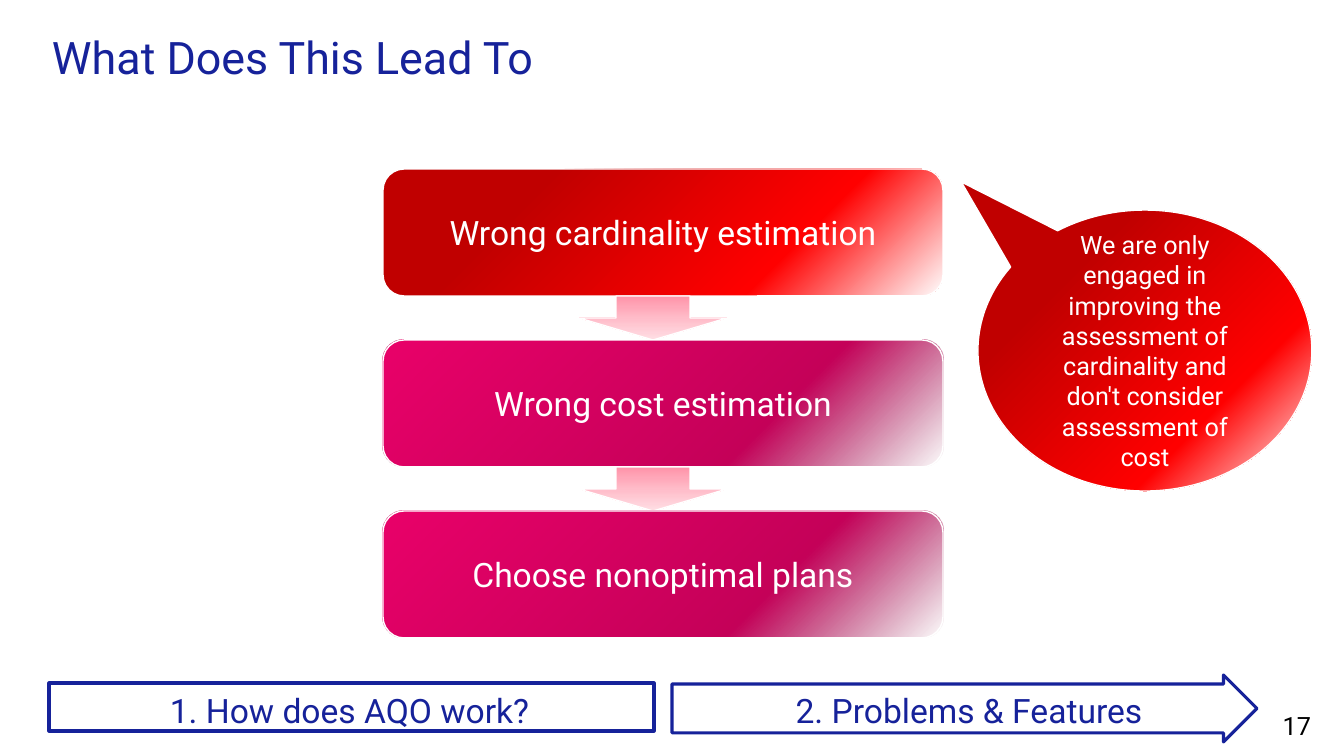
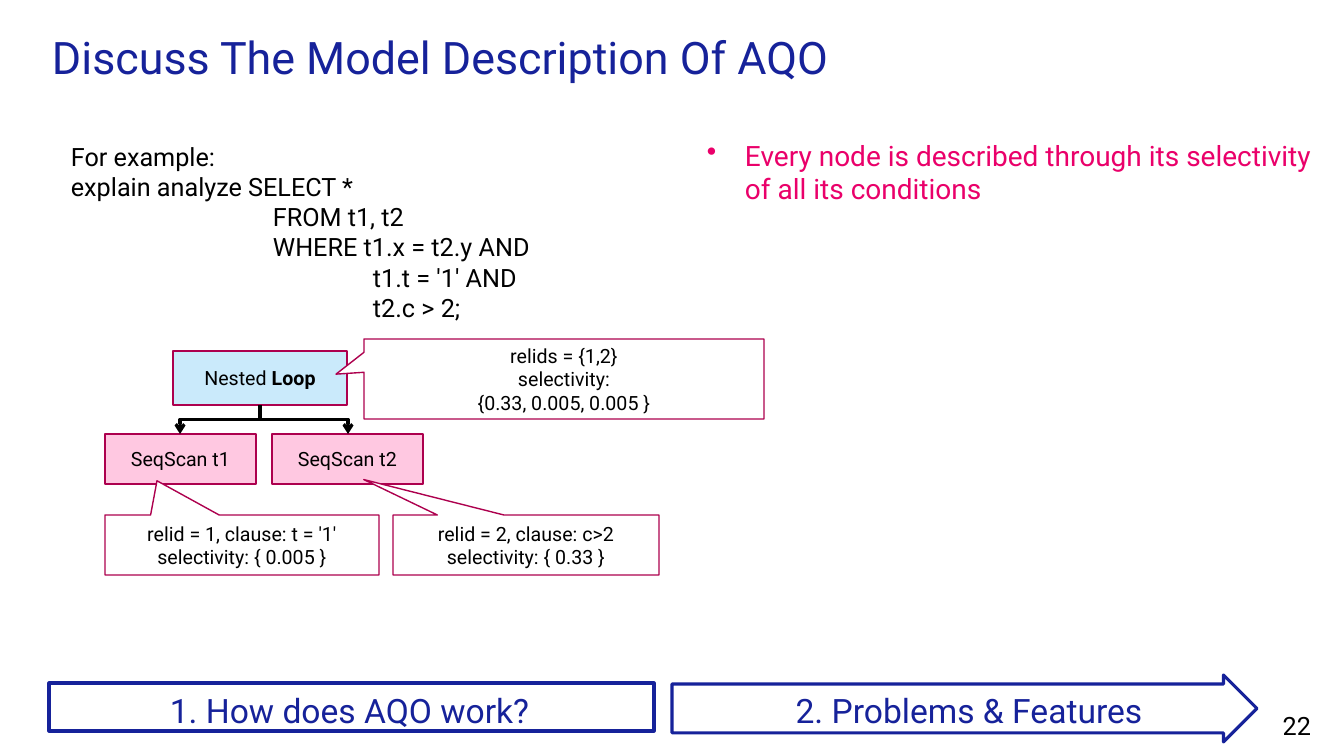
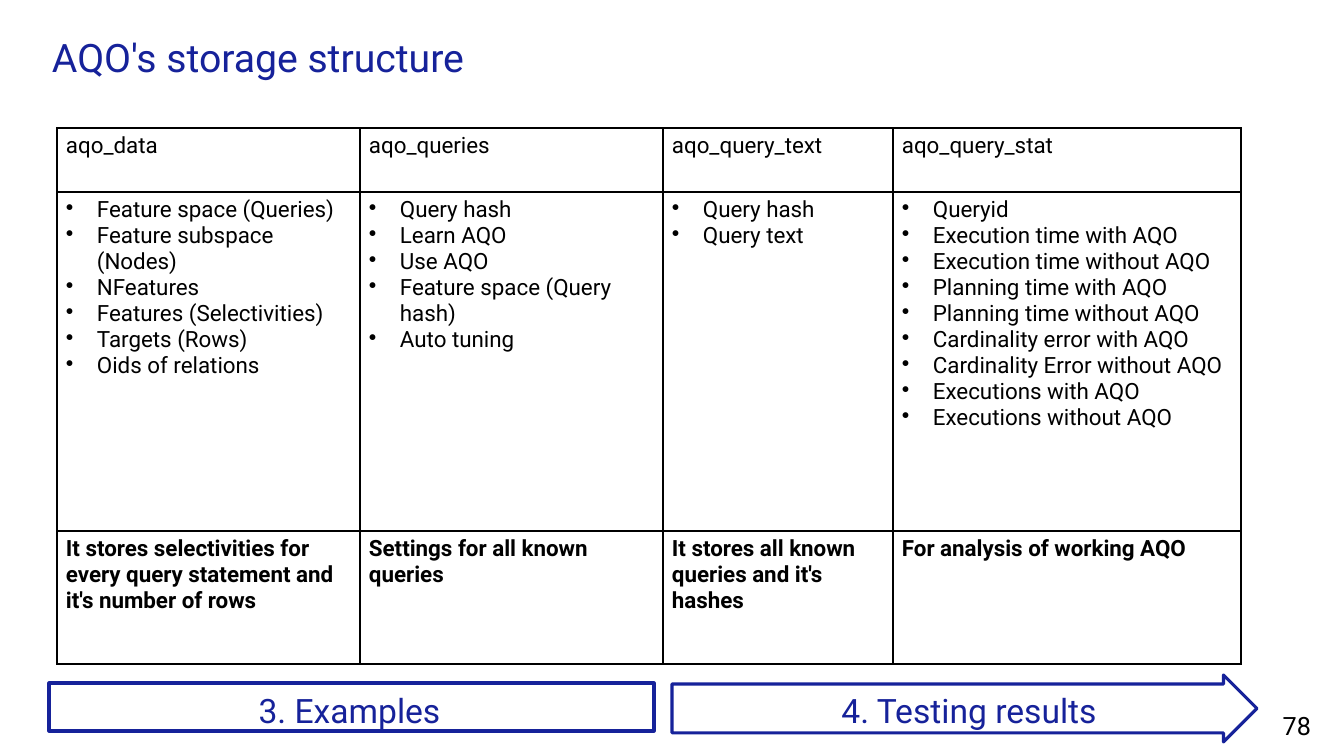
from lxml.etree import SubElement
from pptx import Presentation
from pptx.dml.color import RGBColor
from pptx.enum.shapes import MSO_CONNECTOR, MSO_SHAPE
from pptx.enum.text import MSO_ANCHOR, PP_ALIGN
from pptx.oxml.ns import qn
from pptx.util import Emu, Pt

FONT = "Roboto"
NAVY, PINK, WINE = "16229A", "EA006A", "AD004E"
BLACK, WHITE = "000000", "FFFFFF"
SKY, ROSE = "CAEAFB", "FFC8E1"
# Gradient stops: position in percent, colour, opacity in percent
RED_STOPS = [(0, WHITE, 100), (29, "FF0000", 100), (75, "C00000", 100)]
PINK_STOPS = [(0, "8B003F", 0), (32, "C50059", 100), (100, PINK, 100)]
ARROW_STOPS = [(0, "FF92A8", 100), (50, "FFBCC9", 100), (100, "FFDEE4", 100)]
CENTER, RIGHT = PP_ALIGN.CENTER, PP_ALIGN.RIGHT
MIDDLE, BOTTOM = MSO_ANCHOR.MIDDLE, MSO_ANCHOR.BOTTOM


def px(n):
    return Emu(round(n * 914400 / 100.8))


def rgb(color):
    return RGBColor.from_string(color)


# Text
def write(tf, paragraphs, size=18, color=BLACK, bold=False, align=None,
          anchor=None, inset=None, spacing=None, bullet=0, indents=()):
    """Fill a text frame; a paragraph given as a pair has a bold second run."""
    tf.word_wrap = True
    if anchor is not None:
        tf.vertical_anchor = anchor
    if inset is not None:
        tf.margin_left = tf.margin_right = px(inset)
        tf.margin_top = tf.margin_bottom = px(inset)
    if isinstance(paragraphs, str):
        paragraphs = [paragraphs]
    for i, content in enumerate(paragraphs):
        p = tf.paragraphs[0] if i == 0 else tf.add_paragraph()
        if align is not None:
            p.alignment = align
        if spacing:
            p.line_spacing = spacing
        pPr = p._p.get_or_add_pPr()
        if bullet:
            pPr.set("marL", str(px(bullet)))
            pPr.set("indent", str(-px(bullet)))
            SubElement(pPr, qn("a:buChar")).set("char", "•")
        elif indents:
            pPr.set("marL", str(px(indents[i])))
        parts = (content,) if isinstance(content, str) else content
        for j, part in enumerate(parts):
            r = p.add_run()
            r.text = part
            r.font.name = FONT
            r.font.size = Pt(size)
            r.font.bold = bold or j == 1
            r.font.color.rgb = rgb(color)


def add_text(slide, x, y, w, h, paragraphs, **fmt):
    box = slide.shapes.add_textbox(px(x), px(y), px(w), px(h))
    write(box.text_frame, paragraphs, **fmt)


# Shapes
def set_gradient(sp, stops, radial):
    sp.fill.background()
    no_fill = sp._element.spPr.find(qn("a:noFill"))
    grad = no_fill.makeelement(qn("a:gradFill"), {"rotWithShape": "1"})
    no_fill.getparent().replace(no_fill, grad)
    stop_list = SubElement(grad, qn("a:gsLst"))
    for position, color, opacity in stops:
        stop = SubElement(stop_list, qn("a:gs"), pos=str(position * 1000))
        clr = SubElement(stop, qn("a:srgbClr"), val=color)
        if opacity < 100:
            SubElement(clr, qn("a:alpha"), val=str(opacity * 1000))
    if radial:
        circle = SubElement(grad, qn("a:path"), {"path": "circle"})
        SubElement(circle, qn("a:fillToRect"), l="100000", t="100000")
    else:
        SubElement(grad, qn("a:lin"), ang="0", scaled="0")


def add_box(slide, kind, x, y, w, h, text=None, fill=None, stops=None,
            radial=True, line=WHITE, width=1, adj=(), rotation=0, **fmt):
    sp = slide.shapes.add_shape(kind, px(x), px(y), px(w), px(h))
    sp.shadow.inherit = False
    sp.rotation = rotation
    for i, value in enumerate(adj):
        sp.adjustments[i] = value
    if stops:
        set_gradient(sp, stops, radial)
    elif fill:
        sp.fill.solid()
        sp.fill.fore_color.rgb = rgb(fill)
    else:
        sp.fill.background()
    sp.line.color.rgb = rgb(line)
    sp.line.width = Pt(width)
    if text:
        write(sp.text_frame, text, align=CENTER, anchor=MIDDLE, **fmt)


def add_elbow_down(slide, x1, y1, x2, y2):
    """Arrow that leaves downwards, turns halfway and arrives downwards."""
    cx, cy = (x1 + x2) / 2, (y1 + y2) / 2
    dx, dy = abs(x2 - x1) / 2, (y2 - y1) / 2
    side = 1 if x2 > x1 else -1
    line = slide.shapes.add_connector(
        MSO_CONNECTOR.ELBOW, px(cx + side * dy), px(cy - dx),
        px(cx - side * dy), px(cy + dx))
    line.line.color.rgb = rgb(BLACK)
    line.line.width = Pt(2.25)
    spPr = line._element.spPr
    degrees = 270 if side > 0 else 90
    spPr.find(qn("a:xfrm")).set("rot", str(degrees * 60000))
    SubElement(spPr.find(qn("a:ln")), qn("a:tailEnd"), type="arrow")
    SubElement(spPr, qn("a:effectLst"))


# Table
def set_borders(cell):
    tcPr = cell._tc.get_or_add_tcPr()
    for edge in ("lnL", "lnR", "lnT", "lnB"):
        ln = SubElement(tcPr, qn(f"a:{edge}"), w=str(Pt(1)))
        fill = SubElement(ln, qn("a:solidFill"))
        SubElement(fill, qn("a:srgbClr"), val=BLACK)


def add_grid(slide, x, y, widths, heights, rows, formats):
    frame = slide.shapes.add_table(len(heights), len(widths), px(x), px(y),
                                   px(sum(widths)), px(sum(heights)))
    table = frame.table
    table.first_row = table.horz_banding = False
    for column, width in zip(table.columns, widths):
        column.width = px(width)
    for row, height in zip(table.rows, heights):
        row.height = px(height)
    for i, (row, fmt) in enumerate(zip(rows, formats)):
        for j, content in enumerate(row):
            cell = table.cell(i, j)
            set_borders(cell)
            cell.fill.solid()
            cell.fill.fore_color.rgb = rgb(WHITE)
            cell.margin_left = cell.margin_right = px(9)
            cell.margin_top = cell.margin_bottom = px(5)
            write(cell.text_frame, content, size=16, **fmt)


# Shared frame: title, section band and page number
def add_slide(prs, title, sections, page, title_size=32):
    slide = prs.slides.add_slide(prs.slide_layouts[6])
    add_box(slide, MSO_SHAPE.FLOWCHART_PROCESS, 49, 683, 605, 48,
            line=NAVY, width=2.25)
    add_box(slide, MSO_SHAPE.RIGHT_ARROW, 672, 675, 585, 67,
            line=NAVY, width=2.25, adj=(0.73, 0.5))
    for (x, w), section in zip([(47, 605), (675, 588)], sections):
        add_text(slide, x, 685, w, 50, section, size=24, color=NAVY,
                 align=CENTER)
    add_text(slide, 1184, 720, 127, 21, page, align=RIGHT, anchor=BOTTOM,
             inset=0)
    add_text(slide, 52, 38, 1111, 43, title, size=title_size, color=NAVY,
             anchor=MIDDLE, inset=0, spacing=0.9)
    return slide


def build_consequences(prs, sections):
    slide = add_slide(prs, "What Does This Lead To", sections, "17")
    add_box(slide, MSO_SHAPE.OVAL_CALLOUT, 978, 210, 334, 281,
            "We are only engaged in improving the assessment of cardinality "
            "and don't consider assessment of cost",
            stops=RED_STOPS, adj=(-0.55, -0.6), color=WHITE)
    # Three steps with an arrow in each gap
    steps = [("Wrong cardinality estimation", RED_STOPS),
             ("Wrong cost estimation", PINK_STOPS),
             ("Choose nonoptimal plans", PINK_STOPS)]
    top, height, pitch = 169, 127, 171
    for i, (text, stops) in enumerate(steps):
        y = top + i * pitch
        if i:
            add_box(slide, MSO_SHAPE.RIGHT_ARROW, 631, y - 96, 44, 148,
                    stops=ARROW_STOPS, radial=False, rotation=90)
        add_box(slide, MSO_SHAPE.ROUNDED_RECTANGLE, 383, y, 560, height,
                text, stops=stops, size=24, color=WHITE)


def build_model(prs, sections):
    slide = add_slide(prs, "Discuss The Model Description Of AQO", sections,
                      "22")
    add_text(slide, 707, 138, 612, 396,
             "Every node is described through its selectivity of all its "
             "conditions", size=20, color=PINK, inset=0, bullet=38)
    # Query
    query = [("For example:", 0), ("explain analyze SELECT *", 0),
             ("FROM t1, t2", 202), ("WHERE t1.x = t2.y AND", 202),
             ("t1.t = '1' AND", 302), ("t2.c > 2;", 302)]
    lines, indents = zip(*query)
    add_text(slide, 61, 136, 605, 194, lines, indents=indents)
    # Plan nodes
    nodes = [(173, 351, 174, 54, SKY, [("Nested", " Loop")]),
             (105, 434, 151, 50, ROSE, "SeqScan t1"),
             (272, 434, 151, 50, ROSE, "SeqScan t2")]
    for x, y, w, h, fill, text in nodes:
        add_box(slide, MSO_SHAPE.RECTANGLE, x, y, w, h, text, fill=fill,
                line=WINE, size=14)
    # Node descriptions
    callouts = [
        (393, 515, 266, 60, (-0.61, -1.09),
         ["relid = 2, clause: c>2", "selectivity: { 0.33 }"]),
        (105, 515, 274, 60, (-0.31, -1.07),
         ["relid = 1, clause: t = '1'", "selectivity: { 0.005 }"]),
        (364, 339, 400, 80, (-0.57, -0.06),
         ["relids = {1,2}", "selectivity:", "{0.33, 0.005, 0.005 }"])]
    for x, y, w, h, adj, text in callouts:
        add_box(slide, MSO_SHAPE.RECTANGULAR_CALLOUT, x, y, w, h, text,
                fill=WHITE, line=WINE, adj=adj, size=14)
    for x in (180, 348):
        add_elbow_down(slide, 260, 405, x, 434)


def build_storage(prs, sections):
    slide = add_slide(prs, "AQO's storage structure", sections, "78",
                      title_size=28)
    rows = [
        ["aqo_data", "aqo_queries", "aqo_query_text", "aqo_query_stat"],
        [["Feature space (Queries)", "Feature subspace (Nodes)", "NFeatures",
          "Features (Selectivities)", "Targets (Rows)", "Oids of relations"],
         ["Query hash", "Learn AQO", "Use AQO", "Feature space (Query hash)",
          "Auto tuning"],
         ["Query hash", "Query text"],
         ["Queryid", "Execution time with AQO", "Execution time without AQO",
          "Planning time with AQO", "Planning time without AQO",
          "Cardinality error with AQO", "Cardinality Error without AQO",
          "Executions with AQO", "Executions without AQO"]],
        ["It stores selectivities for every query statement and it's number "
         "of rows",
         "Settings for all known queries",
         "It stores all known queries and it's hashes",
         "For analysis of working AQO"]]
    add_grid(slide, 57, 128, [303, 303, 230, 348], [64, 339, 133], rows,
             [{}, {"bullet": 31}, {"bold": True}])


def main():
    prs = Presentation()
    prs.slide_width, prs.slide_height = px(1344), px(756)
    opening = ["1. How does AQO work?", "2. Problems & Features"]
    build_consequences(prs, opening)
    build_model(prs, opening)
    build_storage(prs, ["3. Examples", "4. Testing results"])
    prs.save("out.pptx")


if __name__ == "__main__":
    main()
